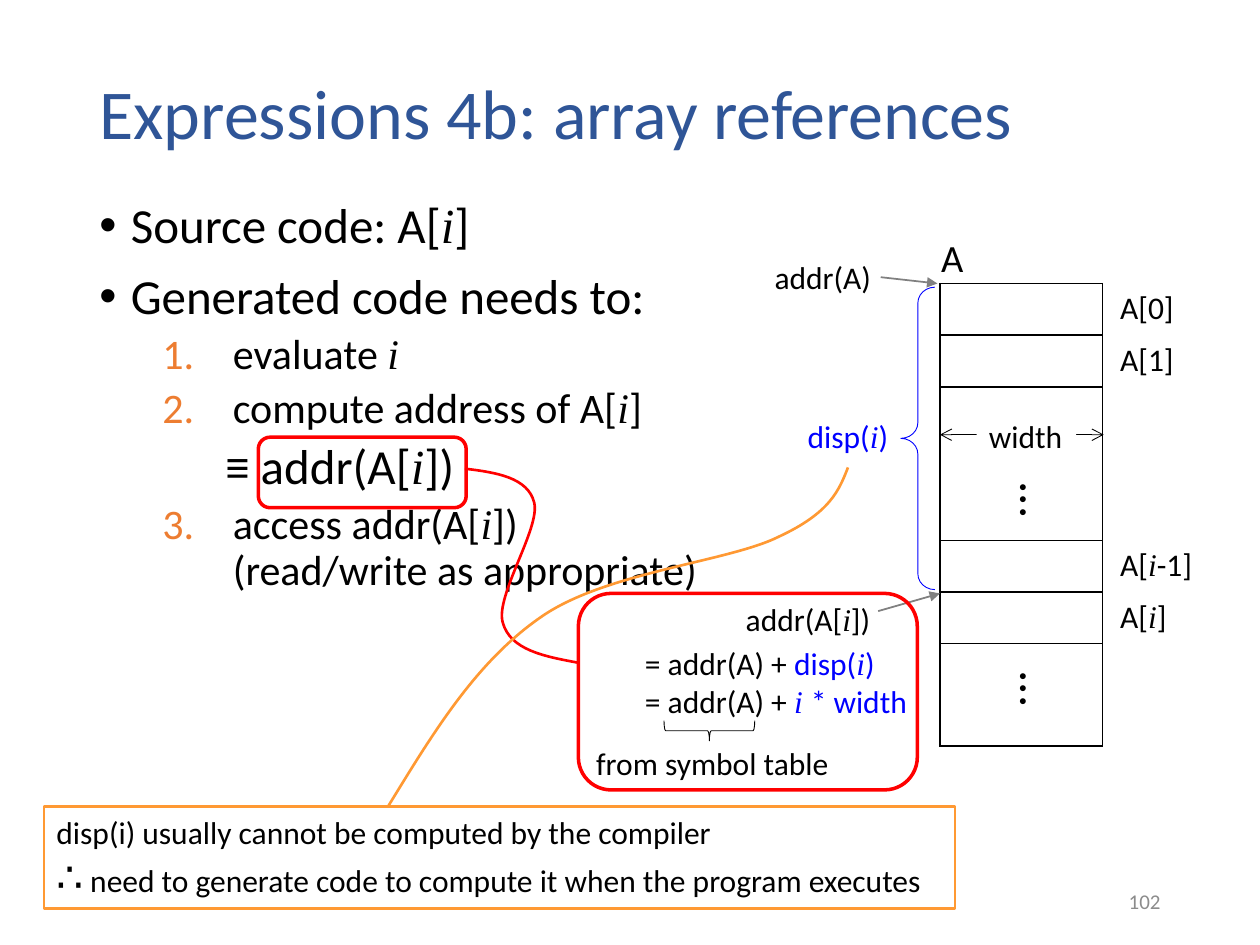
"""Build the slide on generating code for array references."""
from dataclasses import dataclass

import pptx
import pptx.dml.color
import pptx.enum.shapes
import pptx.enum.text
import pptx.oxml
import pptx.oxml.ns
import pptx.util
from lxml import etree

Inches, Pt = pptx.util.Inches, pptx.util.Pt
Shape = pptx.enum.shapes.MSO_SHAPE
Align = pptx.enum.text.PP_ALIGN
Anchor = pptx.enum.text.MSO_ANCHOR
qn = pptx.oxml.ns.qn


@dataclass(frozen=True)
class Theme:
    """Colours, fonts and type sizes of the slide."""
    title: str = "2F5597"
    ink: str = "000000"
    number: str = "ED7D31"
    disp: str = "0000FF"
    red: str = "FF0000"
    orange: str = "FF9933"
    grey: str = "808080"
    footer: str = "8C8C8C"
    white: str = "FFFFFF"
    font: str = "Calibri"
    math_font: str = "Times New Roman"
    title_size: int = 40
    bullet_size: int = 28
    step_size: int = 24
    array_size: int = 22
    label_size: int = 18
    footer_size: int = 12


THEME = Theme()
NO_GRID_STYLE = "{2D5ABB26-0587-4C30-8999-92F81FD0307C}"
ROW_HEIGHTS = [0.41, 0.41, 1.22, 0.41, 0.41, 0.81]


def rgb(colour):
    """Turn a hex string into a colour."""
    return pptx.dml.color.RGBColor.from_string(colour)


def write(paragraph, text, size=THEME.label_size, colour=THEME.ink):
    """Append text, setting the parts between underscores as math variables."""
    for index, part in enumerate(text.split("_")):
        if part:
            run = paragraph.add_run()
            run.text = part
            run.font.size = Pt(size)
            run.font.italic = index % 2 == 1
            run.font.name = THEME.math_font if index % 2 else THEME.font
            run.font.color.rgb = rgb(colour)


def add_label(slide, box, text="", size=THEME.label_size, colour=THEME.ink,
              align=Align.LEFT, right_inset=0.1, wrap=True, rotation=0):
    """Add a text box and return its text frame."""
    label = slide.shapes.add_textbox(*map(Inches, box))
    label.rotation = rotation
    frame = label.text_frame
    frame.word_wrap = wrap
    frame.margin_right = Inches(right_inset)
    frame.paragraphs[0].alignment = align
    write(frame.paragraphs[0], text, size, colour)
    return frame


def add_outline(slide, kind, box, colour, width, fill=None):
    """Add a preset shape with an outline, a fill, or both."""
    shape = slide.shapes.add_shape(kind, *map(Inches, box))
    shape.shadow.inherit = False
    if fill:
        shape.fill.solid()
        shape.fill.fore_color.rgb = rgb(fill)
    else:
        shape.fill.background()
    if colour:
        shape.line.color.rgb = rgb(colour)
        shape.line.width = Pt(width)
    else:
        shape.line.fill.background()
    return shape


def add_arrow(slide, start, end, colour, width, **ends):
    """Add a straight line with the given headEnd and tailEnd types."""
    arrow = slide.shapes.add_connector(
        pptx.enum.shapes.MSO_CONNECTOR.STRAIGHT, *map(Inches, start + end))
    arrow.line.color.rgb = rgb(colour)
    arrow.line.width = Pt(width)
    line = arrow.line._get_or_add_ln()
    for tag, kind in ends.items():
        etree.SubElement(line, qn("a:" + tag), type=kind)
    etree.SubElement(arrow._element.spPr, qn("a:effectLst"))


def add_curve(slide, points, colour):
    """Add an open curve from a start point and triples of Bezier points."""
    start, *rest = [tuple(map(Inches, point)) for point in points]
    builder = slide.shapes.build_freeform(*start)
    builder.add_line_segments(rest, close=False)
    curve = builder.convert_to_shape()
    curve.shadow.inherit = False
    curve.fill.background()
    curve.line.color.rgb = rgb(colour)
    curve.line.width = Pt(1.5)
    path = next(curve._element.iter(qn("a:path")))
    segments = path.findall(qn("a:lnTo"))
    for first in range(0, len(segments), 3):
        bezier = etree.SubElement(path, qn("a:cubicBezTo"))
        for segment in segments[first:first + 3]:
            bezier.append(segment[0])
            path.remove(segment)


def add_column(slide, left, width, texts, bordered=False):
    """Add a one-column table of array elements."""
    frame = slide.shapes.add_table(len(ROW_HEIGHTS), 1, *map(
        Inches, (left, 2.25, width, sum(ROW_HEIGHTS))))
    table = frame.table
    table.first_row = table.horz_banding = False
    table._tbl.tblPr.find(qn("a:tableStyleId")).text = NO_GRID_STYLE
    for row, height, text in zip(table.rows, ROW_HEIGHTS, texts):
        row.height = Inches(height)
        cell = row.cells[0]
        write(cell.text_frame.paragraphs[0], text)
        if bordered:
            for side in ("lnL", "lnR", "lnT", "lnB"):
                border = etree.SubElement(
                    cell._tc.get_or_add_tcPr(), qn("a:" + side), w=str(Pt(1)))
                fill = etree.SubElement(border, qn("a:solidFill"))
                etree.SubElement(fill, qn("a:srgbClr"), val=THEME.ink)
        cell.fill.background()


def add_outline_text(slide):
    """Add the bullets and the numbered steps."""
    bullet, step, formula = (0, 0.25, -0.25, 10), (1, 1.06, -0.56, 5), (2, 1, 0, 5)
    items = [
        (bullet, ["Source code: A[_i_]"]),
        (bullet, ["Generated code needs to:"]),
        (step, ["evaluate _i_"]),
        (step, ["compute address of A[_i_]"]),
        (formula, ["≡ addr(A[_i_])"]),
        (step, ["access addr(A[_i_])", "(read/write as appropriate)"]),
    ]
    frame = add_label(slide, (0.69, 1.55, 5.13, 5.21))
    for index, (kind, lines) in enumerate(items):
        paragraph = frame.add_paragraph() if index else frame.paragraphs[0]
        paragraph.level, margin, indent, before = kind
        paragraph.line_spacing = 0.9
        if index:
            paragraph.space_before = Pt(before)
        props = paragraph._p.get_or_add_pPr()
        props.set("marL", str(Inches(margin)))
        props.set("indent", str(Inches(indent)))
        if kind is bullet:
            etree.SubElement(props, qn("a:buFont"), typeface="Arial")
            etree.SubElement(props, qn("a:buChar"), char="•")
        elif kind is step:
            colour = etree.SubElement(props, qn("a:buClr"))
            etree.SubElement(colour, qn("a:srgbClr"), val=THEME.number)
            etree.SubElement(props, qn("a:buFont"), typeface=THEME.font)
            etree.SubElement(props, qn("a:buAutoNum"), type="arabicPeriod")
        size = THEME.step_size if kind is step else THEME.bullet_size
        for number, line in enumerate(lines):
            if number:
                paragraph.add_line_break()
            write(paragraph, line, size)


def add_title(slide, text):
    """Place and format the title."""
    title = slide.shapes.title
    title.left, title.top, title.width, title.height = map(
        Inches, (0.69, 0.4, 8.89, 1.05))
    frame = title.text_frame
    frame.auto_size = pptx.enum.text.MSO_AUTO_SIZE.NONE
    frame.vertical_anchor = Anchor.MIDDLE
    frame.paragraphs[0].alignment = Align.LEFT
    frame.paragraphs[0].line_spacing = 0.9
    write(frame.paragraphs[0], text, THEME.title_size, THEME.title)


def add_array(slide):
    """Add the array with its addresses, displacement and width."""
    add_column(slide, 7.46, 1.29, [""] * 6, bordered=True)
    add_column(slide, 8.79, 0.79, ["A[0]", "A[1]", "", "A[_i_-1]", "A[_i_]", ""])
    for top in (3.69, 5.19):
        add_label(slide, (8, top, 0.5, 0.57), "...", THEME.bullet_size,
                  wrap=False, rotation=90)
    add_label(slide, (7.37, 1.81, 0.38, 0.47), "A", THEME.array_size, wrap=False)
    add_label(slide, (5.99, 2, 0.99, 0.4), "addr(A)", align=Align.CENTER, right_inset=0.01)
    add_label(slide, (5.82, 4.71, 1.17, 0.4), "addr(A[_i_])", right_inset=0)
    add_label(slide, (6.25, 3.26, 0.86, 0.4), "disp(_i_)", colour=THEME.disp,
              align=Align.CENTER, right_inset=0)
    add_arrow(slide, (6.99, 2.2), (7.44, 2.25), THEME.grey, 1, tailEnd="triangle")
    add_arrow(slide, (6.97, 4.85), (7.46, 4.71), THEME.grey, 1, tailEnd="triangle")
    brace = add_outline(slide, Shape.LEFT_BRACE, (7.15, 2.28, 0.27, 2.4), THEME.disp, 0.5)
    brace.adjustments[0] = 0.465
    add_arrow(slide, (7.46, 3.45), (8.76, 3.45), THEME.ink, 0.5,
              headEnd="arrow", tailEnd="arrow")
    width = add_outline(slide, Shape.RECTANGLE, (7.75, 3.26, 0.79, 0.4), None, 0, THEME.white)
    width.text_frame.word_wrap = False
    width.text_frame.paragraphs[0].alignment = Align.LEFT
    write(width.text_frame.paragraphs[0], "width")


def add_address_formula(slide):
    """Add the address computation and its frame."""
    frame = add_label(slide, (5.02, 5.06, 2.29, 0.71), wrap=False)
    for paragraph, term in ((frame.paragraphs[0], "disp(_i_)"),
                            (frame.add_paragraph(), "_i _* width")):
        write(paragraph, "= addr(A) + ")
        write(paragraph, term, colour=THEME.disp)
    brace = add_outline(slide, Shape.LEFT_BRACE, (5.55, 5.44, 0.16, 0.72), THEME.ink, 0.5)
    brace.rotation = 270
    add_label(slide, (4.48, 5.86, 2.29, 0.4), " from symbol table", align=Align.CENTER)
    for box in ((2.05, 3.47, 1.65, 0.56), (4.59, 4.71, 2.69, 1.56)):
        add_outline(slide, Shape.ROUNDED_RECTANGLE, box, THEME.red, 2)
    add_curve(slide, [(3.69, 3.72), (3.94, 3.75), (4.19, 3.79), (4.24, 3.99),
                      (4.29, 4.19), (3.93, 4.73), (3.99, 4.94),
                      (4.05, 5.16), (4.32, 5.21), (4.59, 5.26)], THEME.red)


def add_note(slide):
    """Add the remark on disp(i) and the curve that leads to it."""
    note = add_outline(slide, Shape.RECTANGLE, (0.35, 6.4, 7.23, 0.81), THEME.orange, 1.5)
    frame = note.text_frame
    frame.word_wrap = False
    frame.vertical_anchor = Anchor.TOP
    first, second = frame.paragraphs[0], frame.add_paragraph()
    first.alignment = second.alignment = Align.LEFT
    write(first, "disp(i) usually cannot be computed by the compiler")
    write(second, "∴", THEME.step_size)
    write(second, " need to generate code to compute it when the program executes")
    add_curve(slide, [(3.08, 6.4), (3.43, 5.83), (3.77, 5.26), (4.29, 4.9),
                      (4.8, 4.54), (5.78, 4.46), (6.18, 4.26),
                      (6.59, 4.07), (6.66, 3.89), (6.73, 3.71)], THEME.orange)


def main():
    """Build and save the slide."""
    deck = pptx.Presentation()
    deck.slide_width, deck.slide_height = Inches(10), Inches(7.5)
    slide = deck.slides.add_slide(deck.slide_layouts[5])
    add_title(slide, "Expressions 4b: array references")
    add_outline_text(slide)
    add_array(slide)
    add_address_formula(slide)
    add_note(slide)
    page = add_label(slide, (7.06, 6.95, 2.25, 0.4), "102", THEME.footer_size,
                     THEME.footer, Align.RIGHT)
    page.vertical_anchor = Anchor.MIDDLE
    deck.save("out.pptx")


if __name__ == "__main__":
    main()
